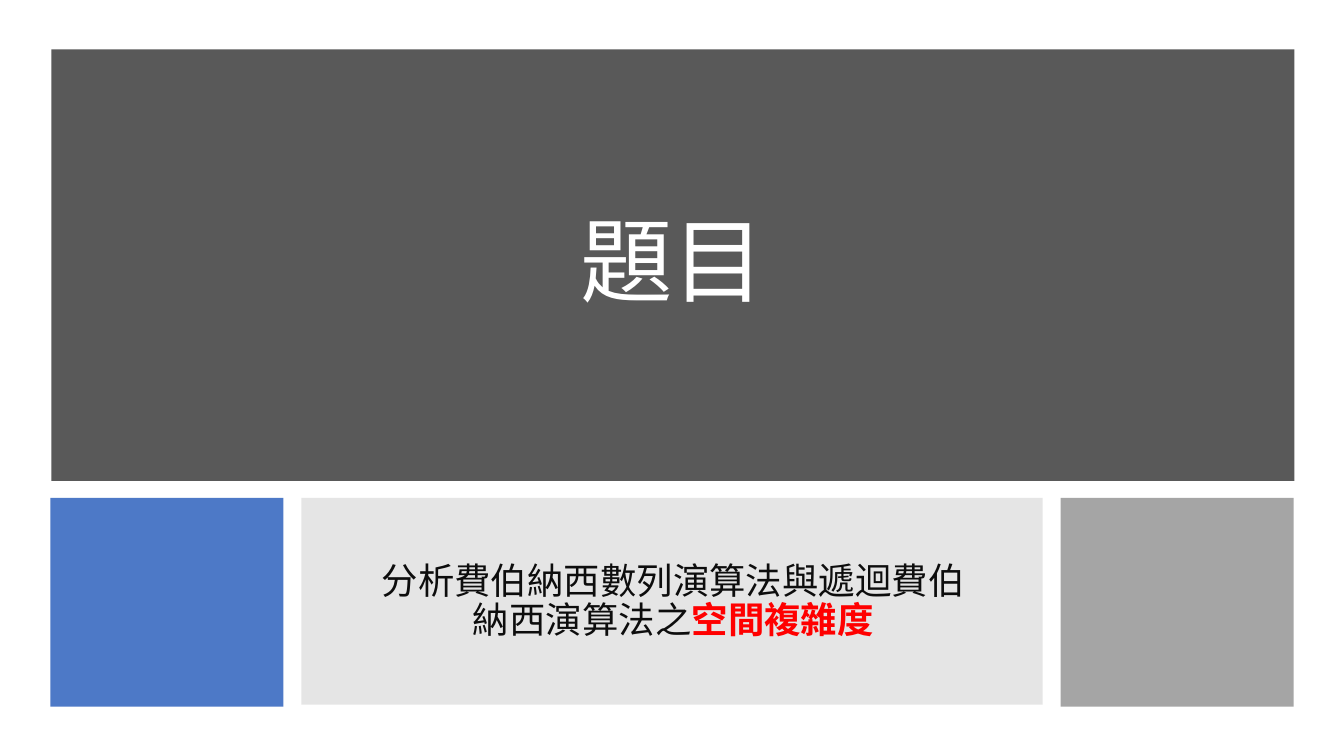
from lxml import etree
from pptx import Presentation
from pptx.dml.color import RGBColor
from pptx.enum.shapes import MSO_SHAPE as SHAPE
from pptx.enum.text import MSO_ANCHOR as ANCHOR, PP_ALIGN as ALIGN
from pptx.oxml.ns import qn
from pptx.util import Inches, Pt

COLORS = {
    "banner": "595959",
    "blue": "4472C4",
    "panel": "7F7F7F",
    "gray": "A5A5A5",
    "white": "FFFFFF",
    "ink": "0D0D0D",
    "red": "FF0000",
}


class SlideBuilder:
    font = "Calibri"
    line_spacing = 0.9

    def __init__(self, slide):
        self.s = slide

    def block(self, x, y, w, h, color, opacity=100):
        """Draw a borderless rectangle; opacity is in percent."""
        sp = self.s.shapes.add_shape(
            SHAPE.RECTANGLE, Inches(x), Inches(y), Inches(w), Inches(h))
        sp.shadow.inherit = False
        sp.line.fill.background()
        sp.fill.solid()
        sp.fill.fore_color.rgb = RGBColor.from_string(COLORS[color])
        if opacity < 100:
            clr = sp._element.spPr.find(qn("a:solidFill"))[0]
            etree.SubElement(clr, qn("a:alpha"), val=str(opacity * 1000))

    def text(self, x, y, w, h, size, runs):
        """Add a centred paragraph; runs are (text, color, bold) tuples."""
        sp = self.s.shapes.add_textbox(
            Inches(x), Inches(y), Inches(w), Inches(h))
        tf = sp.text_frame
        tf.word_wrap = True
        tf.vertical_anchor = ANCHOR.MIDDLE
        p = tf.paragraphs[0]
        p.alignment = ALIGN.CENTER
        p.line_spacing = self.line_spacing
        p.font.name = self.font
        p.font.size = Pt(size)
        for words, color, bold in runs:
            r = p.add_run()
            r.text = words
            r.font.name = self.font
            r.font.size = Pt(size)
            r.font.bold = bold
            r.font.color.rgb = RGBColor.from_string(COLORS[color])


def main():
    prs = Presentation()
    prs.slide_width, prs.slide_height = Inches(13.33), Inches(7.5)
    b = SlideBuilder(prs.slides.add_slide(prs.slide_layouts[6]))

    b.block(0.51, 0.49, 12.33, 4.28, "banner")
    b.text(1.2, 1.2, 10.95, 2.87, 66, [("題目", "white", False)])

    row_top = 4.94
    b.block(0.5, row_top, 2.31, 2.07, "blue", 95)
    b.block(2.99, row_top, 7.35, 2.05, "panel", 20)
    b.block(10.52, row_top, 2.31, 2.07, "gray")
    b.text(3.53, 5.3, 6.3, 1.35, 26, [
        ("分析費伯納西數列演算法與遞迴費伯納西演算法之", "ink", False),
        ("空間複雜度", "red", True),
    ])

    prs.save("out.pptx")


if __name__ == "__main__":
    main()
